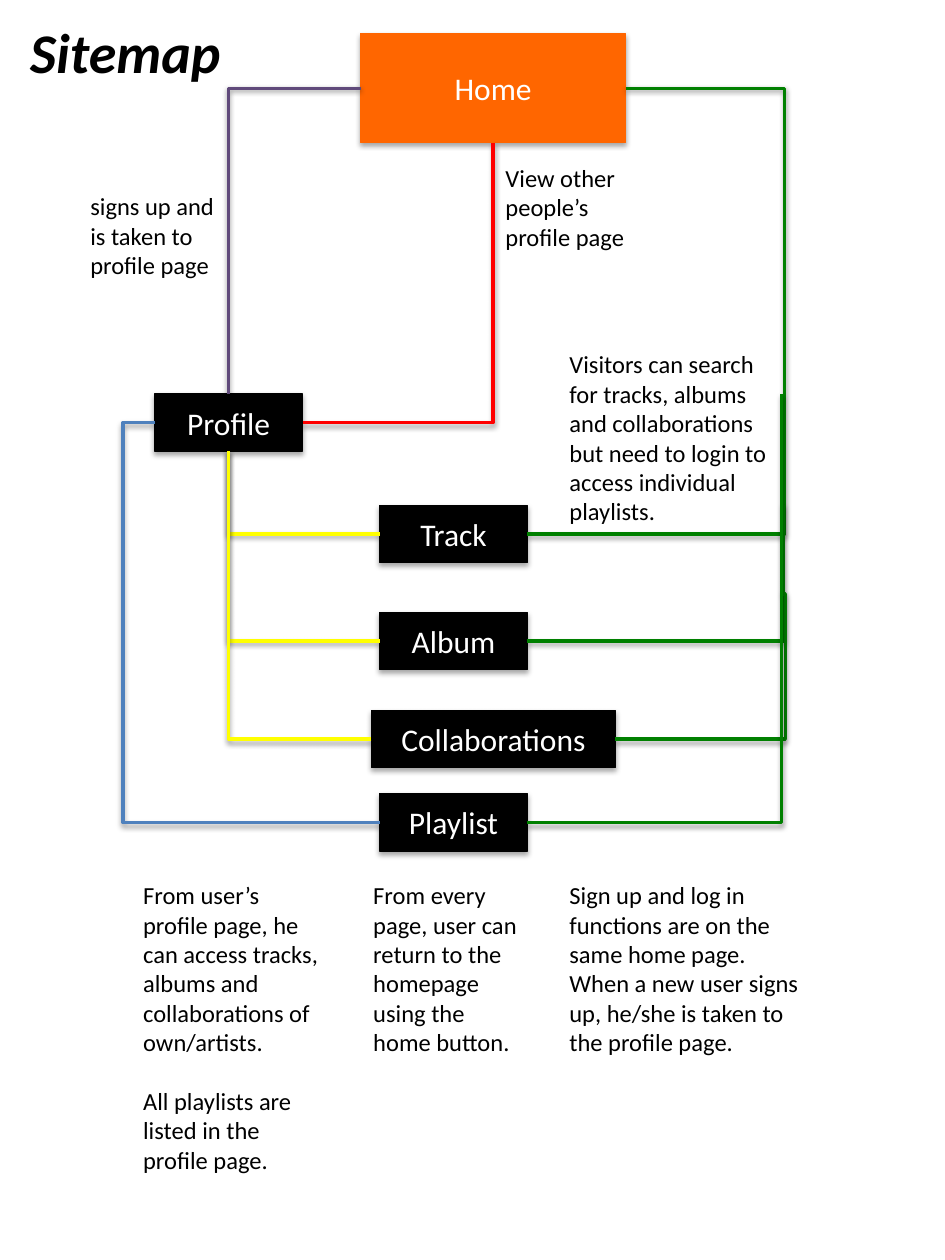
from dataclasses import dataclass

from lxml import etree
from pptx import Presentation
from pptx import util as u
from pptx.dml.color import RGBColor
from pptx.enum import shapes, text
from pptx.oxml import ns

Pt = u.Pt


@dataclass(frozen=True)
class Theme:
    font: str = "Calibri"
    title: int = 32
    label: int = 18
    note: int = 14
    gap: float = 16.7
    ink: str = "000000"
    paper: str = "FFFFFF"
    home: str = "FF6600"
    signup: str = "604A7B"
    browse: str = "FF0000"
    own: str = "FFFF00"
    playlist: str = "4F81BD"
    search: str = "008000"


T = Theme()

# Pages: name -> left, top, width, height, fill
W, H = 84.5, 32.7
PAGES = {
    "Home": (206.1, 19.3, 151.4, 62.3, T.home),
    "Profile": (88.4, 225.1, W, H, T.ink),
    "Track": (216.9, 288.8, W, H, T.ink),
    "Album": (216.9, 350, W, H, T.ink),
    "Collaborations": (212.3, 406, 139.4, H, T.ink),
    "Playlist": (216.9, 453.6, W, H, T.ink),
}

# Notes: left, top, width, height, paragraphs, space before the last one
NOTES = [
    (318.3, 499.4, 151.2, 108.7,
     ["Sign up and log in functions are on the same home page.",
      "When a new user signs up, he/she is taken to the profile page."], 0),
    (281.8, 89.6, 82.1, 58.2, ["View other people’s profile page"], 0),
    (44.5, 105.8, 87.1, 58.2, ["signs up and is taken to profile page"], 0),
    (74.7, 499.4, 114.5, 177,
     ["From user’s profile page, he can access tracks, albums and "
      "collaborations of own/artists.",
      "All playlists are listed in the profile page."], T.gap),
    (318.3, 196.1, 136.1, 108.7,
     ["Visitors can search for tracks, albums and collaborations but need "
      "to login to access individual playlists."], 0),
    (206.2, 499.4, 97.2, 108.7,
     ["From every page, user can return to the homepage using the home "
      "button."], 0),
]


def side(name, edge):
    """Middle of one edge of a page box."""
    x, y, w, h, _ = PAGES[name]
    return {"l": (x, y + h / 2), "r": (x + w, y + h / 2),
            "t": (x + w / 2, y), "b": (x + w / 2, y + h)}[edge]


# Links: start, end, colour, x of the vertical run (None: one corner at end x)
LINKS = [
    (side("Home", "l"), side("Profile", "t"), T.signup, None),
    *[(side(page, "l"), side("Profile", "b"), T.own, None)
      for page in ("Track", "Album", "Collaborations")],
    (side("Profile", "l"), side("Playlist", "l"), T.playlist, 70.3),
    (side("Home", "r"), side("Track", "r"), T.search, 448.3),
    ((446.6, 288.9), side("Album", "r"), T.search, 447.7),
    ((446.6, 339.5), side("Collaborations", "r"), T.search, 448.8),
    (side("Profile", "r"), side("Home", "b"), T.browse, None),
    (side("Playlist", "r"), (446.6, 225.1), T.search, None),
]


def rgb(value):
    return RGBColor.from_string(value)


def add_shadow(sp, dist, alpha):
    props = sp._element.spPr
    effects = etree.SubElement(props, ns.qn("a:effectLst"))
    outer = etree.SubElement(effects, ns.qn("a:outerShdw"),
                             blurRad=str(Pt(3.1)), dist=str(Pt(dist)),
                             dir="5400000", rotWithShape="0")
    color = etree.SubElement(outer, ns.qn("a:srgbClr"), val=T.ink)
    etree.SubElement(color, ns.qn("a:alpha"), val=str(alpha * 1000))


def write(tf, paragraphs, size=T.note, color=T.ink, align=None, bold=None,
          italic=None, last_gap=0):
    for i, words in enumerate(paragraphs):
        p = tf.paragraphs[0] if i == 0 else tf.add_paragraph()
        p.alignment = align
        r = p.add_run()
        r.text = words
        r.font.name, r.font.size = T.font, Pt(size)
        r.font.bold, r.font.italic = bold, italic
        r.font.color.rgb = rgb(color)
    if last_gap:
        p.space_before = Pt(last_gap)


def add_page(s, name, x, y, w, h, fill):
    sp = s.shapes.add_shape(shapes.MSO_SHAPE.RECTANGLE,
                            Pt(x), Pt(y), Pt(w), Pt(h))
    sp.fill.solid()
    sp.fill.fore_color.rgb = rgb(fill)
    sp.line.color.rgb = rgb(fill)
    sp.line.width = Pt(0.75)
    add_shadow(sp, 1.8, 35)
    sp.text_frame.vertical_anchor = text.MSO_ANCHOR.MIDDLE
    write(sp.text_frame, [name], size=T.label, color=T.paper,
          align=text.PP_ALIGN.CENTER)


def add_link(s, start, end, color, bend):
    sp = s.shapes.add_connector(shapes.MSO_CONNECTOR.ELBOW,
                                *[Pt(v) for v in start + end])
    sp.line.color.rgb = rgb(color)
    sp.line.width = Pt(2)
    geom = sp._element.spPr.find(ns.qn("a:prstGeom"))
    if bend is None:
        geom.set("prst", "bentConnector2")
    else:
        ratio = (bend - start[0]) / (end[0] - start[0])
        guides = geom.find(ns.qn("a:avLst"))
        etree.SubElement(guides, ns.qn("a:gd"), name="adj1",
                         fmla=f"val {round(ratio * 100000)}")
    add_shadow(sp, 1.6, 38)


def add_text(s, x, y, w, h, paragraphs, **fmt):
    sp = s.shapes.add_textbox(Pt(x), Pt(y), Pt(w), Pt(h))
    tf = sp.text_frame
    tf.word_wrap = True
    tf.auto_size = text.MSO_AUTO_SIZE.SHAPE_TO_FIT_TEXT
    write(tf, paragraphs, **fmt)


prs = Presentation()
prs.slide_width, prs.slide_height = Pt(540), Pt(720)
s = prs.slides.add_slide(prs.slide_layouts[6])

# Page boxes, then the links between them
for name, box in PAGES.items():
    add_page(s, name, *box)
for link in LINKS:
    add_link(s, *link)

# Title and notes
add_text(s, 10.1, 6.5, 128.9, 46.1, ["Sitemap"], size=T.title,
         bold=True, italic=True)
for *box, paragraphs, gap in NOTES:
    add_text(s, *box, paragraphs, last_gap=gap)

prs.save("out.pptx")
